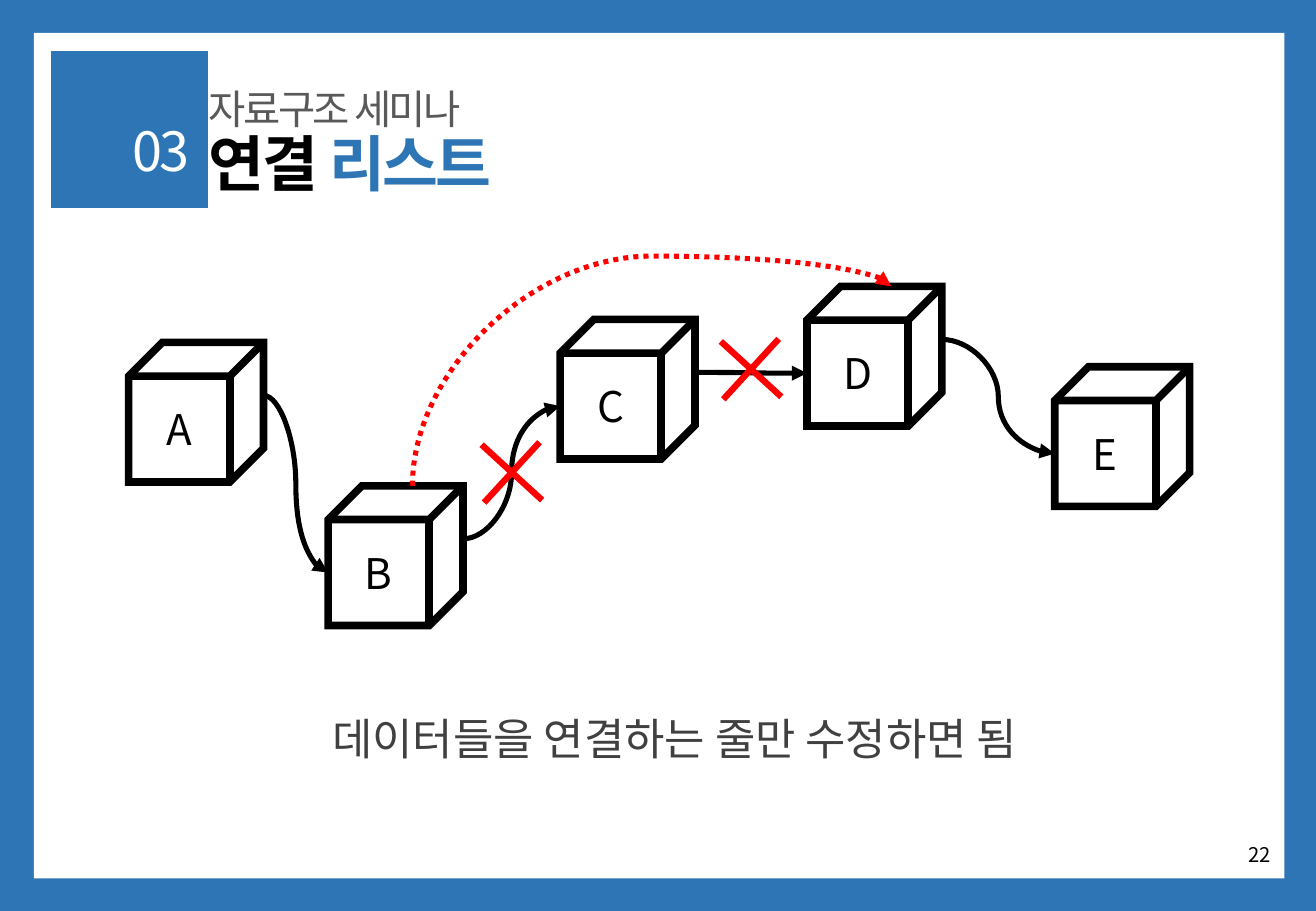
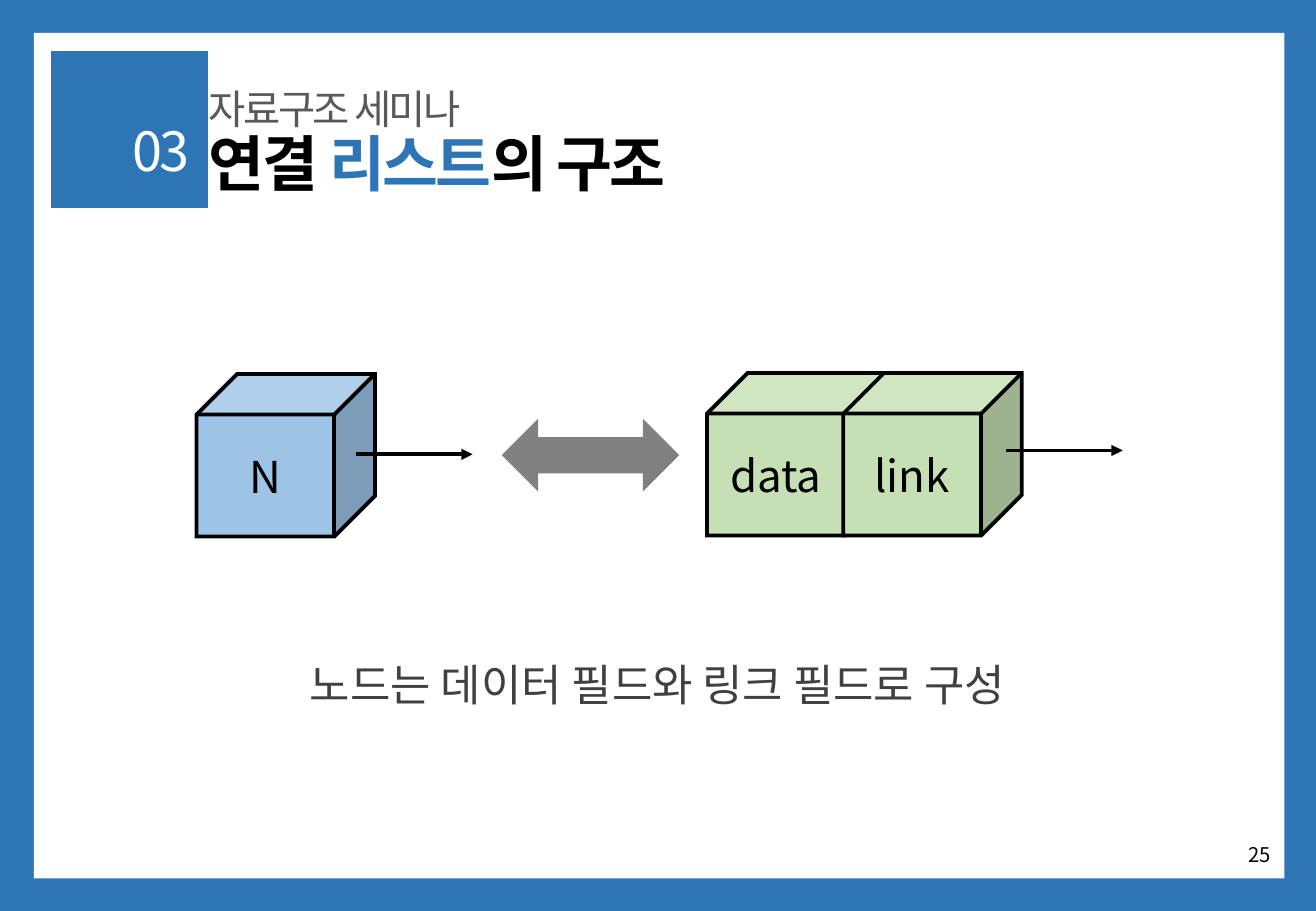
import pptx
import pptx.util
import pptx.dml.color
import pptx.enum.dml
import pptx.enum.shapes
import pptx.enum.text
import pptx.oxml.ns
from lxml import etree

Cm, Pt = pptx.util.Cm, pptx.util.Pt
RGB = pptx.dml.color.RGBColor
SHAPE = pptx.enum.shapes.MSO_SHAPE
LINK = pptx.enum.shapes.MSO_CONNECTOR
ALIGN = pptx.enum.text.PP_ALIGN
ANCHOR = pptx.enum.text.MSO_ANCHOR
qn = pptx.oxml.ns.qn

FONT = "Noto Sans CJK KR"
BLUE = RGB(0x2E, 0x75, 0xB6)
WHITE = RGB(0xFF, 0xFF, 0xFF)
BLACK = RGB(0, 0, 0)
RED = RGB(0xFF, 0, 0)
DARK = RGB(0x40, 0x40, 0x40)
SLATE = RGB(0x59, 0x59, 0x59)
GRAY = RGB(0x80, 0x80, 0x80)
SKY = RGB(0x9D, 0xC3, 0xE6)
GREEN = RGB(0xC5, 0xE0, 0xB4)

# Content; boxes are left, top, width, height in cm
WIDE, HIGH = 27.51, 19.05
BANDS = [((0, 0, WIDE, HIGH), BLUE),
         ((0.71, 0.69, 26.14, 17.68), WHITE),
         ((1.07, 1.07, 3.28, 3.28), BLUE)]
TITLE_BOX = (4.11, 2.72, 16.21, 1.52)
TOPIC, TOPIC_BOX = "자료구조 세미나", (4.11, 1.93, 12.5, 0.79)
PART, PART_BOX = "03", (1.5, 2.57, 2.72, 1.3)
PAGE_BOX = (20.62, 17.35, 6.2, 1.02)

LIST = {"title": [("연결 ", BLACK), ("리스트", BLUE)],
        "page": "22",
        "note": "데이터들을 연결하는 줄만 수정하면 됨",
        "box": (4.22, 14.2, 19.79, 1.73)}
NODE = {"title": [("연결 ", BLACK), ("리스트", BLUE), ("의 구조", BLACK)],
        "page": "25",
        "note": "노드는 데이터 필드와 링크 필드로 구성",
        "box": (1.88, 13.08, 23.75, 1.73)}

CHAIN = {"A": (2.69, 7.16), "B": (6.86, 10.16), "C": (11.71, 6.68),
         "D": (16.87, 5.99), "E": (22.05, 7.67)}
CUBE_W, CUBE_H = 2.82, 2.92
DEPTH = CUBE_W / 4
CUTS = [(9.86, 9.04), (14.86, 6.88)]
CUT = 1.68

FIELDS = [("N", (4.11, 7.82), SKY), ("data", (14.78, 7.8), GREEN),
          ("link", (17.63, 7.8), GREEN)]
FIELD_W, FIELD_H = 3.73, 3.4
SWAP_BOX = (10.49, 8.76, 3.71, 1.52)
EXITS = [(7.44, 9.5), (21.03, 9.42)]
REACH = 2.44


def cms(vals):
    """Turn numbers in cm into lengths."""
    return [Cm(val) for val in vals]


def sub(parent, tag, **attrs):
    """Append a drawing element and return it."""
    node = etree.SubElement(parent, qn(tag))
    for name, val in attrs.items():
        node.set(name, val)
    return node


def put(shape, text, size=26, color=BLACK, bold=False, align=ALIGN.CENTER,
        anchor=ANCHOR.MIDDLE, lead=None, before=0, spc=None):
    """Write text, a string or (string, colour) runs, into a shape."""
    frame = shape.text_frame
    frame.word_wrap = True
    frame.auto_size = pptx.enum.text.MSO_AUTO_SIZE.NONE
    frame.vertical_anchor = anchor
    para = frame.paragraphs[0]
    para.alignment = align
    para.space_before = Pt(before)
    if lead:
        para.line_spacing = lead
    props = para._p.get_or_add_pPr()
    props.set("marL", "0")
    props.set("indent", "0")
    sub(props, "a:buNone")
    for words, tint in [(text, color)] if isinstance(text, str) else text:
        run = para.add_run()
        run.text = words
        font = run.font
        font.size, font.bold, font.name = Pt(size), bold, FONT
        font.color.rgb = tint
        mark = run._r.get_or_add_rPr()
        sub(mark, "a:ea", typeface=FONT)
        if spc:
            mark.set("spc", str(spc))


def draw(slide, kind, box, fill=None, line=None, width=1):
    """Add a preset shape with plain fill and line."""
    shape = slide.shapes.add_shape(kind, *cms(box))
    shape.shadow.inherit = False
    if fill is None:
        shape.fill.background()
    else:
        shape.fill.solid()
        shape.fill.fore_color.rgb = fill
    if line is None:
        shape.line.fill.background()
    else:
        shape.line.color.rgb = line
        shape.line.width = Pt(width)
        sub(shape.line._get_or_add_ln(), "a:miter", lim="800000")
    return shape


def join(slide, kind, start, end, color=BLACK, width=3.0):
    """Add a connector that ends in an arrowhead."""
    wire = slide.shapes.add_connector(kind, *cms((*start, *end)))
    wire.line.color.rgb = color
    wire.line.width = Pt(width)
    sub(wire.line._get_or_add_ln(), "a:tailEnd", type="triangle")
    sub(wire.element.spPr, "a:effectLst")
    return wire


def arch(slide, start, end, bend):
    """Add a dotted red curve that leaves upward and lands from above."""
    mid_x, mid_y = (start[0] + end[0]) / 2, (start[1] + end[1]) / 2
    half_w, half_h = (start[1] - end[1]) / 2, (end[0] - start[0]) / 2
    # A quarter turn swaps width and height about the middle
    wire = join(slide, LINK.CURVE, (mid_x + half_w, mid_y + half_h),
                (mid_x - half_w, mid_y - half_h), color=RED)
    wire.line.dash_style = pptx.enum.dml.MSO_LINE.ROUND_DOT
    props = wire.element.spPr
    props.find(qn("a:xfrm")).set("rot", "5400000")
    guides = props.find(qn("a:prstGeom")).find(qn("a:avLst"))
    sub(guides, "a:gd", name="adj1", fmla=f"val {round(bend * 100000)}")


def back(slide, layout):
    """Draw the shared bands and move them to the layout."""
    for spot, (box, fill) in enumerate(BANDS):
        node = draw(slide, SHAPE.RECTANGLE, box, fill).element
        node.nvSpPr.cNvPr.set("id", str(20 + spot))
        layout.shapes.element.insert(2 + spot, node)


def base(deck, layout, data):
    """Add a slide with its heading, page number and note."""
    slide = deck.slides.add_slide(layout)
    heads = [(data["title"], TITLE_BOX, dict(size=36, bold=True)),
             (TOPIC, TOPIC_BOX, dict(size=24, color=SLATE)),
             (PART, PART_BOX, dict(size=32, color=WHITE, align=ALIGN.RIGHT))]
    for holder, (text, box, form) in zip(slide.placeholders, heads):
        holder.left, holder.top, holder.width, holder.height = cms(box)
        put(holder, text, **{"align": ALIGN.LEFT, "lead": 0.9, "before": 10,
                             "spc": -150, **form})
    page = slide.shapes.add_textbox(*cms(PAGE_BOX))
    put(page, data["page"], size=12, align=ALIGN.RIGHT)
    note = slide.shapes.add_textbox(*cms(data["box"]))
    put(note, data["note"], color=DARK, lead=1.5, anchor=ANCHOR.TOP)
    return slide


def chain(slide):
    """Draw the linked cubes, the cut links and the new link."""
    for name, spot in CHAIN.items():
        cube = draw(slide, SHAPE.CUBE, (*spot, CUBE_W, CUBE_H),
                    line=BLACK, width=4.5)
        put(cube, name, size=25)
    spots = list(CHAIN.values())
    for (x, y), (next_x, next_y) in zip(spots, spots[1:]):
        join(slide, LINK.CURVE, (x + CUBE_W, y + (CUBE_H - DEPTH) / 2),
             (next_x, next_y + (CUBE_H + DEPTH) / 2))
    tops = [(CHAIN[name][0] + (CUBE_W + DEPTH) / 2, CHAIN[name][1])
            for name in "BD"]
    arch(slide, *tops, bend=1.152)
    for spot in CUTS:
        cross = draw(slide, SHAPE.CROSS, (*spot, CUT, CUT), RED, RED)
        cross.adjustments[0] = 0.471
        cross.rotation = 42.5


def node(slide):
    """Draw a node beside its data and link fields."""
    draw(slide, SHAPE.LEFT_RIGHT_ARROW, SWAP_BOX, GRAY)
    for name, spot, fill in FIELDS:
        cube = draw(slide, SHAPE.CUBE, (*spot, FIELD_W, FIELD_H),
                    fill, BLACK, 2.25)
        put(cube, name)
    for x, y in EXITS:
        join(slide, LINK.STRAIGHT, (x, y), (x + REACH, y), width=2.25)


deck = pptx.Presentation()
deck.slide_width, deck.slide_height = cms((WIDE, HIGH))
layout = deck.slide_layouts.get_by_name("Two Content")
first = base(deck, layout, LIST)
back(first, layout)
chain(first)
node(base(deck, layout, NODE))
deck.save("out.pptx")
